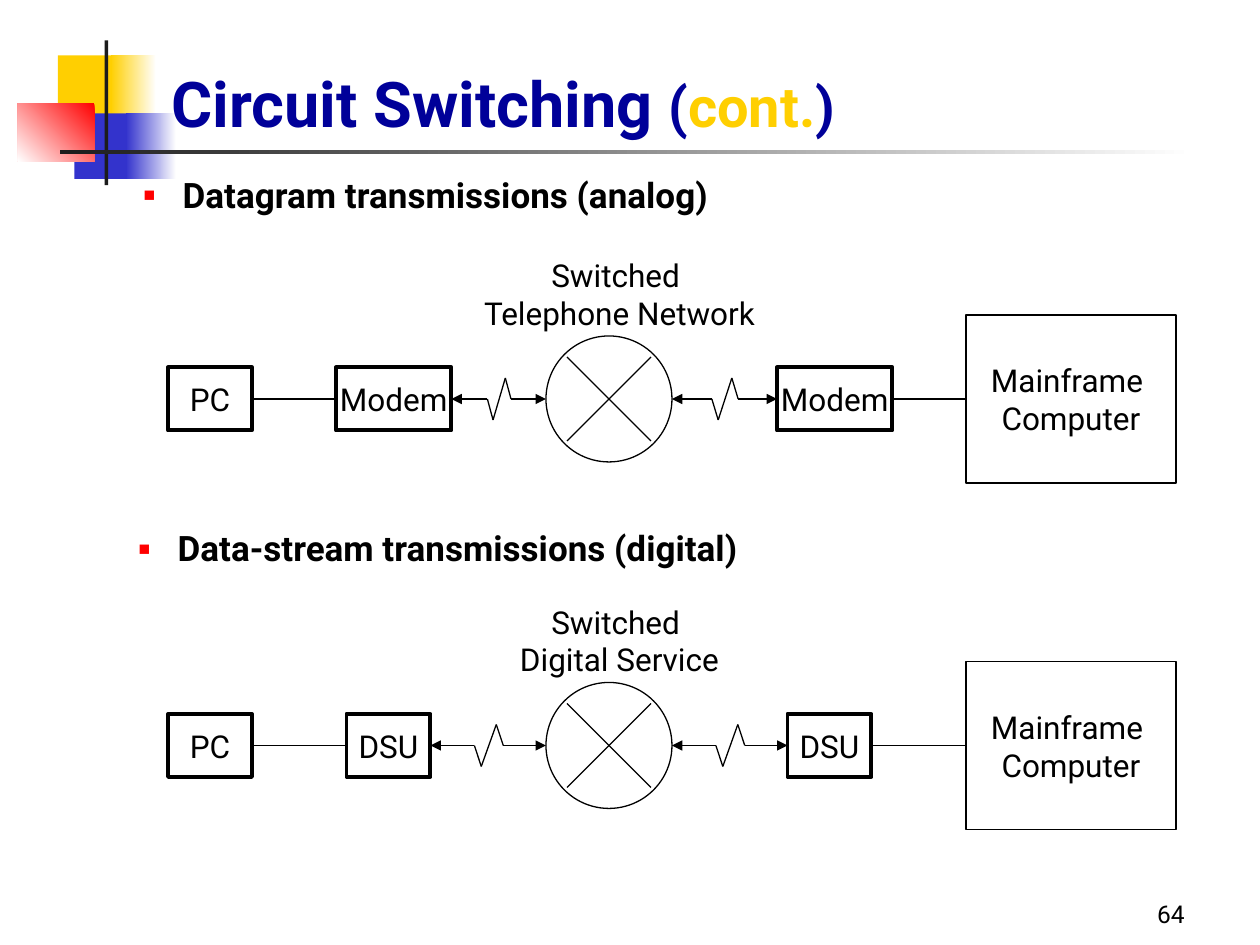
from lxml.etree import SubElement
from pptx import Presentation
from pptx.dml.color import RGBColor
from pptx.enum.shapes import MSO_CONNECTOR, MSO_SHAPE
from pptx.enum.text import MSO_ANCHOR, MSO_AUTO_SIZE, PP_ALIGN
from pptx.oxml.ns import qn
from pptx.util import Inches, Pt

FONT = "Roboto"
BLACK, WHITE, NAVY, GOLD = "000000", "FFFFFF", "000099", "FFCF01"
BLUE, RED, CHARCOAL = "3333CC", "FF0000", "1C1C1C"
CELL = 1 / 12

TITLE = [("Circuit Switching ", 36, NAVY), ("(", 32, NAVY), ("cont.", 32, GOLD), (")", 32, NAVY)]
HEADINGS = [
    ("Datagram transmissions (analog)", (0.54, 1.33, 8.79, 0.67), 1.0),
    ("Data-stream transmissions (digital)", (0.5, 4.17, 8.79, 0.58), 0.9),
]
ORNAMENTS = [
    ((0.46, 0.44, 0.48, 0.52), [GOLD], 0),
    ((0.88, 0.44, 0.36, 0.52), [WHITE, GOLD], 180),
    ((0.59, 0.9, 0.46, 0.52), [BLUE], 0),
    ((1, 0.9, 0.4, 0.52), [WHITE, BLUE], 180),
    ((0.14, 0.82, 0.61, 0.46), [RED, WHITE], 225),
    ((0.83, 0.32, 0.03, 1.15), [CHARCOAL], 0),
    ((0.48, 1.19, 9, 0.03), [WHITE, CHARCOAL], 180),
]
CIRCUITS = [
    {"row": 71, "device": "DSU", "left": (33, 41), "right": (75, 83),
     "network": ["Switched ", "Digital Service"]},
    {"row": 38, "device": "Modem", "left": (32, 43), "right": (74, 85),
     "network": ["Switched ", "Telephone Network"]},
]
PC, NETWORK, MAINFRAME, LABEL = (16, 24), (52, 64), (92, 112), (43, 75)
ZIGZAG = [(0.38, 0), (0.44, 2), (0.57, -2), (0.63, 0)]


def color(hex_value):
    """Turn a hex string into a colour."""
    return RGBColor.from_string(hex_value)


def place(shape, box):
    """Set a shape's left, top, width and height in inches."""
    shape.left, shape.top, shape.width, shape.height = map(Inches, box)


def add_run(paragraph, text, size, hex_value=BLACK, bold=False):
    """Add one formatted run."""
    run = paragraph.add_run()
    run.text = text
    run.font.name, run.font.size, run.font.bold = FONT, Pt(size), bold
    run.font.color.rgb = color(hex_value)


def write_centred(shape, lines, wrap=False):
    """Write lines in the middle of a shape."""
    frame = shape.text_frame
    frame.word_wrap, frame.vertical_anchor = wrap, MSO_ANCHOR.MIDDLE
    for index, text in enumerate(lines):
        paragraph = frame.add_paragraph() if index else frame.paragraphs[0]
        paragraph.alignment = PP_ALIGN.CENTER
        add_run(paragraph, text, 18)


def add_ornament(slide, box, colors, angle):
    """Add a solid or fading rectangle."""
    ornament = slide.shapes.add_shape(MSO_SHAPE.RECTANGLE, *map(Inches, box))
    ornament.shadow.inherit = False
    ornament.line.fill.background()
    if len(colors) == 1:
        ornament.fill.solid()
        ornament.fill.fore_color.rgb = color(colors[0])
        return
    ornament.fill.gradient()
    ornament.fill.gradient_angle = angle
    for stop, hex_value in zip(ornament.fill.gradient_stops, colors):
        stop.color.rgb = color(hex_value)


def add_node(group, columns, row, rows, lines, weight=0.75, kind=MSO_SHAPE.RECTANGLE):
    """Add an outlined node centred on a row."""
    start, end = columns
    box = (start, row - rows / 2, end - start, rows)
    node = group.shapes.add_shape(kind, *(Inches(n * CELL) for n in box))
    node.shadow.inherit = False
    node.fill.background()
    node.line.color.rgb, node.line.width = color(BLACK), Pt(weight)
    write_centred(node, lines)


def add_wire(group, start, end, arrow=False):
    """Add a thin line between two grid points."""
    points = [Inches(n * CELL) for n in (*start, *end)]
    wire = group.shapes.add_connector(MSO_CONNECTOR.STRAIGHT, *points)
    wire.line.color.rgb, wire.line.width = color(BLACK), Pt(0.75)
    if arrow:
        SubElement(wire.line._get_or_add_ln(), qn("a:tailEnd"), type="triangle")
    SubElement(wire.element.spPr, qn("a:effectLst"))


def add_signal(group, start, end, row):
    """Add a two-way arrow with a zigzag in it."""
    bends = [(start + share * (end - start), row + rise) for share, rise in ZIGZAG]
    add_wire(group, bends[-1], (end, row), arrow=True)
    add_wire(group, bends[0], (start, row), arrow=True)
    for bend, following in zip(bends, bends[1:]):
        add_wire(group, bend, following)


def add_circuit(slide, circuit):
    """Add one PC-to-mainframe diagram."""
    group = slide.shapes.add_group_shape()
    row, left, right = circuit["row"], circuit["left"], circuit["right"]
    add_node(group, PC, row, 6, ["PC"], 2.25)
    for columns in (left, right):
        add_node(group, columns, row, 6, [circuit["device"]], 2.25)
    add_node(group, MAINFRAME, row, 16, ["Mainframe ", "Computer"])
    add_node(group, NETWORK, row, 12, [], kind=MSO_SHAPE.OVAL)
    for start, end in ((PC[1], left[0]), (right[1], MAINFRAME[0])):
        add_wire(group, (start, row), (end, row))
    for rise in (-4, 4):
        add_wire(group, (NETWORK[0] + 2, row + rise), (NETWORK[1] - 2, row - rise))
    add_signal(group, left[1], NETWORK[0], row)
    add_signal(group, NETWORK[1], right[0], row)
    label_box = (LABEL[0], row - 16, LABEL[1] - LABEL[0], 12)
    label = group.shapes.add_textbox(*(Inches(n * CELL) for n in label_box))
    write_centred(label, circuit["network"], wrap=True)


def fill_title(title):
    """Write the title run by run."""
    place(title, (1.26, -0.09, 8.52, 1.25))
    frame = title.text_frame
    frame.auto_size, frame.vertical_anchor = MSO_AUTO_SIZE.NONE, MSO_ANCHOR.BOTTOM
    frame.paragraphs[0].alignment = PP_ALIGN.LEFT
    for text, size, hex_value in TITLE:
        add_run(frame.paragraphs[0], text, size, hex_value, True)


def fill_heading(body, text, box, spacing):
    """Write a bulleted heading."""
    place(body, box)
    body.text_frame.auto_size = MSO_AUTO_SIZE.NONE
    paragraph = body.text_frame.paragraphs[0]
    paragraph.level, paragraph.alignment = 1, PP_ALIGN.JUSTIFY
    paragraph.line_spacing, paragraph.space_before = spacing, Pt(5)
    add_run(paragraph, text, 20, bold=True)
    properties = paragraph._p.get_or_add_pPr()
    properties.set("marL", str(Inches(0.81)))
    properties.set("indent", str(Inches(-0.31)))
    SubElement(SubElement(properties, qn("a:buClr")), qn("a:srgbClr"), val=RED)
    SubElement(properties, qn("a:buSzPct"), val="55000")
    SubElement(properties, qn("a:buFont"), typeface="Arial")
    SubElement(properties, qn("a:buChar"), char="■")


def main():
    """Build and save the slide."""
    deck = Presentation()
    deck.slide_width, deck.slide_height = Inches(10), Inches(7.5)
    slide = deck.slides.add_slide(deck.slide_layouts[3])
    title, *bodies = list(slide.placeholders)
    for ornament in ORNAMENTS:
        add_ornament(slide, *ornament)
    for placeholder in (title, *bodies):
        slide.shapes.element.append(placeholder.element)
    fill_title(title)
    for body, heading in zip(bodies, HEADINGS):
        fill_heading(body, *heading)
    for circuit in CIRCUITS:
        add_circuit(slide, circuit)
    number = slide.shapes.add_textbox(*map(Inches, (7.42, 6.92, 2.08, 0.5))).text_frame
    number.word_wrap, number.vertical_anchor = True, MSO_ANCHOR.BOTTOM
    number.paragraphs[0].alignment = PP_ALIGN.RIGHT
    add_run(number.paragraphs[0], "64", 14)
    deck.save("out.pptx")


if __name__ == "__main__":
    main()
